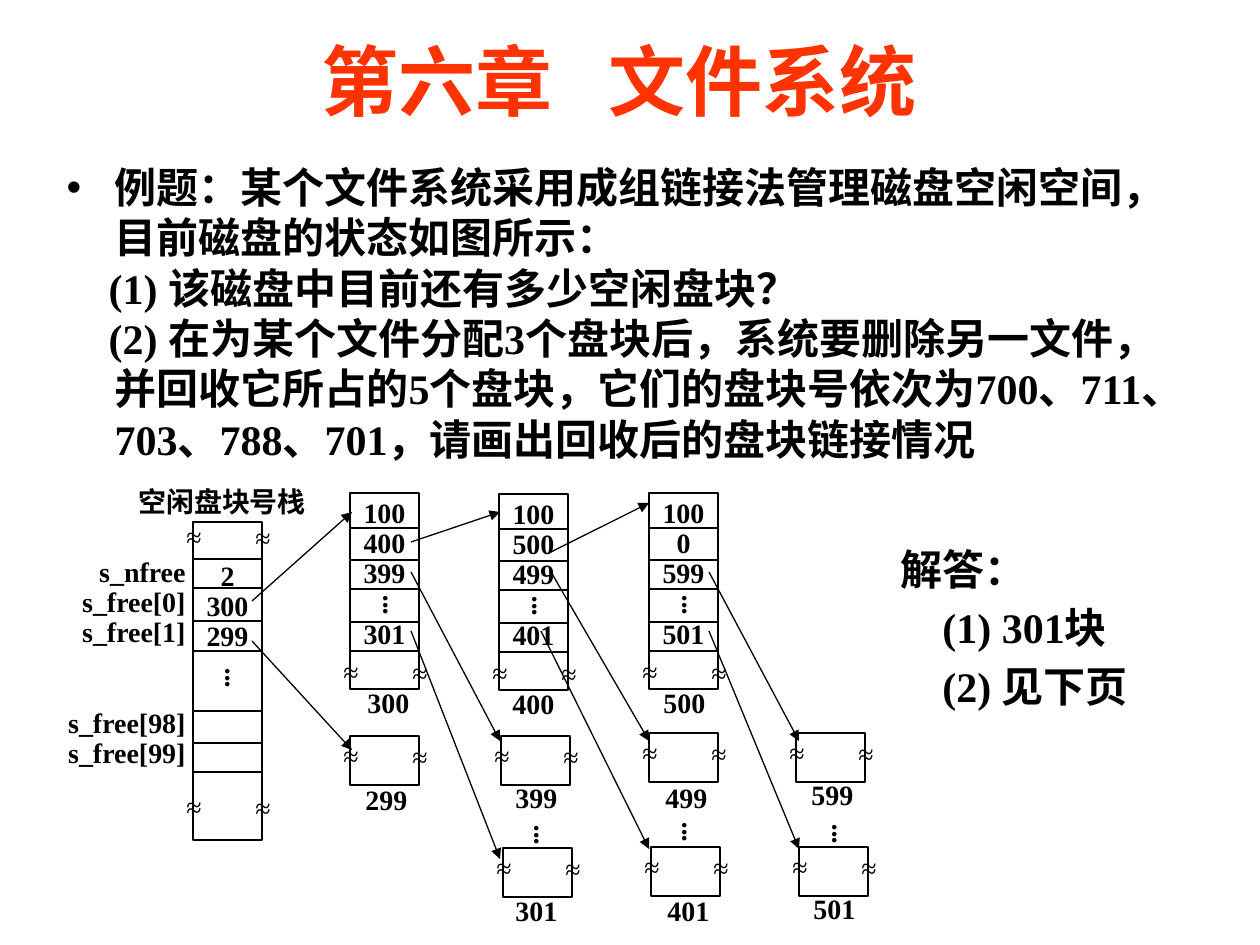
from lxml.etree import SubElement
from pptx import Presentation
from pptx.dml.color import RGBColor
from pptx.enum.shapes import MSO_CONNECTOR as Connector, MSO_SHAPE as Shape
from pptx.enum.text import MSO_ANCHOR as Anchor, MSO_AUTO_SIZE as AutoSize, PP_ALIGN as Align
from pptx.oxml.ns import qn
from pptx.util import Emu, Pt

SERIF = "Times New Roman"
BLACK = "000000"
CELL_WIDTH = 69
ROW_POINTS = 17.3

STACK = (193, 522, CELL_WIDTH, 318)
STACK_RULES = (559, 588, 621, 651, 711, 743, 772)
COLUMN_RULES = (35, 67, 96, 129, 158)
COLUMNS = [
    (350, 493, ["100", "400", "399", "301"], "300", 355, 679),
    (499, 494, ["100", "500", "499", "401"], "400", 500, 680),
    (649, 493, ["100", "0", "599", "501"], "500", 651, 679),
]
BLOCKS = [
    (350, 736, "299", 353, 776),
    (501, 736, "399", 503, 774),
    (649, 733, "499", 653, 774),
    (796, 733, "599", 799, 771),
    (503, 848, "301", 503, 887),
    (651, 847, "401", 655, 887),
    (799, 847, "501", 801, 885),
]
BLOCK_DOTS = [(517, 819), (665, 816), (815, 818)]
ARROWS = [
    (252, 601, 352, 512), (252, 641, 352, 750),
    (411, 542, 500, 512), (411, 572, 500, 741), (411, 631, 500, 859),
    (551, 552, 649, 503), (551, 572, 649, 741), (541, 631, 649, 849),
    (709, 572, 799, 741), (709, 631, 799, 849),
]
QUESTIONS = [
    "例题：某个文件系统采用成组链接法管理磁盘空闲空间，目前磁盘的状态如图所示：",
    "(1) 该磁盘中目前还有多少空闲盘块？",
    "(2) 在为某个文件分配3个盘块后，系统要删除另一文件，并回收它所占的5个盘块，"
    "它们的盘块号依次为700、711、703、788、701，请画出回收后的盘块链接情况",
]


def px(length):
    """Turn pixels into EMU."""
    return Emu(round(length * 914400 / 126))


def color(code):
    """Turn a hex string into a colour."""
    return RGBColor.from_string(code)


def place(shape, left, top, width, height):
    """Move and size a shape."""
    shape.left, shape.top = px(left), px(top)
    shape.width, shape.height = px(width), px(height)


def write(frame, lines, size=16, align=Align.LEFT, bold=True, font=SERIF,
          code=BLACK, spacing=1.0, gaps=None):
    """Fill a frame with paragraphs; gaps maps a line number to points before it."""
    frame.word_wrap = True
    frame.text = "\n".join(lines)
    for number, para in enumerate(frame.paragraphs):
        para.alignment = align
        para.line_spacing = spacing
        para.space_before = Pt((gaps or {}).get(number, 0))
        for span in para.runs:
            span.font.name = font
            span.font.size = Pt(size)
            span.font.bold = bold
            span.font.color.rgb = color(code)


def indent(para, margin, first, bullet=None):
    """Set the indents and the bullet of a paragraph."""
    props = para._p.get_or_add_pPr()
    props.set("marL", str(px(margin)))
    props.set("indent", str(px(first)))
    if bullet:
        SubElement(props, qn("a:buChar")).set("char", bullet)
    else:
        SubElement(props, qn("a:buNone"))


def add_label(page, left, top, width, height, lines, **style):
    """Add a text box."""
    box = page.shapes.add_textbox(px(left), px(top), px(width), px(height))
    write(box.text_frame, lines, **style)
    return box


def add_cell_box(page, left, top, width, height):
    """Add an outlined rectangle without fill."""
    box = page.shapes.add_shape(Shape.RECTANGLE, px(left), px(top), px(width), px(height))
    box.shadow.inherit = False
    box.fill.background()
    box.line.color.rgb = color(BLACK)
    box.line.width = Pt(0.75)
    box.text_frame.vertical_anchor = Anchor.TOP
    return box


def add_line(page, x1, y1, x2, y2, arrow=False):
    """Add a thin line, with an arrowhead if asked."""
    line = page.shapes.add_connector(Connector.STRAIGHT, px(x1), px(y1), px(x2), px(y2))
    line.line.color.rgb = color(BLACK)
    line.line.width = Pt(0.75)
    props = line._element.spPr
    if arrow:
        SubElement(props.find(qn("a:ln")), qn("a:tailEnd")).set("type", "triangle")
    SubElement(props, qn("a:effectLst"))


def add_rules(page, left, heights):
    """Add the lines between the cells of a column."""
    for height in heights:
        add_line(page, left, height, left + CELL_WIDTH, height)


def add_waves(page, left, top):
    """Add the break marks on both sides of a cell."""
    for x, y in ((left - 19, top - 1), (left + 50, top)):
        add_label(page, x, y, 39, 47, ["≈"], bold=False)


def add_dots(page, left, top):
    """Add a vertical ellipsis."""
    add_label(page, left, top, 39, 33, ["."] * 3, align=Align.CENTER, spacing=0.2)


def add_number(page, left, top, number):
    """Add the block number below a box."""
    add_label(page, left, top, CELL_WIDTH, 47, [number])


def add_stack(page):
    """Add the stack of free block numbers with its labels."""
    left, top, width, height = STACK
    box = add_cell_box(page, left, top, width, height)
    box.text_frame.margin_top = px(40)
    write(box.text_frame, ["2", "300", "299"], align=Align.CENTER, spacing=0.9)
    add_dots(page, left + 15, 662)
    add_waves(page, left, top - 8)
    add_waves(page, left, top + 262)
    add_rules(page, left, STACK_RULES)
    names = ["s_nfree", "s_free[0]", "s_free[1]", "s_free[98]", "s_free[99]"]
    add_label(page, 44, 552, 154, 226, names, align=Align.RIGHT, spacing=0.9,
              gaps={3: 2 * ROW_POINTS})
    add_label(page, 126, 478, 198, 47, ["空闲盘块号栈"], font="Arial")


def add_column(page, left, top, values, number, label_left, label_top):
    """Add a block that lists a group of free blocks."""
    box = add_cell_box(page, left, top, CELL_WIDTH, 196)
    write(box.text_frame, values, align=Align.CENTER, spacing=0.9, gaps={3: ROW_POINTS})
    add_waves(page, left, top + 156)
    add_rules(page, left, [top + rule for rule in COLUMN_RULES])
    add_dots(page, left + 16, top + 96)
    add_number(page, label_left, label_top, number)


def add_block(page, left, top, number, label_left, label_top):
    """Add a single free block."""
    add_cell_box(page, left, top, CELL_WIDTH, 49)
    add_waves(page, left, top - 3)
    add_number(page, label_left, label_top, number)


def fill_title(page):
    """Write the title, with a widened gap between its two parts."""
    title = page.shapes.title
    place(title, 147, 32, 945, 95)
    frame = title.text_frame
    frame.auto_size = AutoSize.NONE
    frame.vertical_anchor = Anchor.MIDDLE
    para = frame.paragraphs[0]
    for part in ("第六章", " ", "文件系统"):
        span = para.add_run()
        span.text = part
        span.font.name = SERIF
        span.font.size = Pt(44)
        span.font.bold = True
        span.font.color.rgb = color("FF3300")
    para.alignment = Align.CENTER
    para.runs[1]._r.get_or_add_rPr().set("spc", "2200")


def fill_body(page):
    """Write the exercise."""
    body = page.placeholders[1]
    place(body, 54, 155, 1152, 318)
    body.text_frame.auto_size = AutoSize.NONE
    write(body.text_frame, QUESTIONS, size=24)
    first, *others = body.text_frame.paragraphs
    indent(first, 48, -48, "•")
    for para in others:
        indent(para, 48, -6)


def add_answer(page):
    """Add the answer."""
    box = add_label(page, 888, 537, 307, 184, ["解答：", "(1) 301块", "(2) 见下页"],
                    size=24, gaps={1: 4.8, 2: 4.8})
    for para in box.text_frame.paragraphs[1:]:
        indent(para, 42, 0)


def main():
    """Build the slide and save it."""
    deck = Presentation()
    deck.slide_width, deck.slide_height = px(1260), px(945)
    page = deck.slides.add_slide(deck.slide_layouts[1])
    fill_title(page)
    fill_body(page)
    add_stack(page)
    for column in COLUMNS:
        add_column(page, *column)
    for block in BLOCKS:
        add_block(page, *block)
    for left, top in BLOCK_DOTS:
        add_dots(page, left, top)
    for ends in ARROWS:
        add_line(page, *ends, arrow=True)
    add_answer(page)
    deck.save("out.pptx")


if __name__ == "__main__":
    main()
